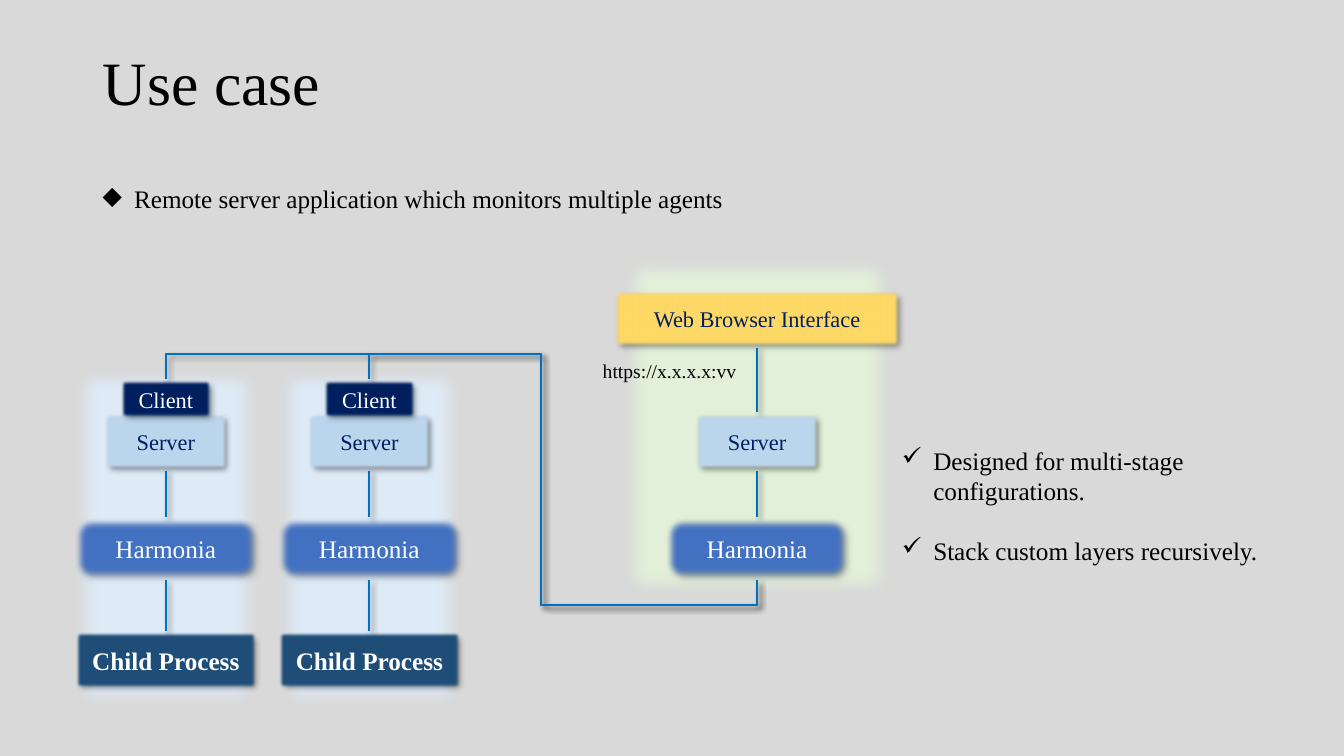
"""Build the use-case slide: two monitored agents linked to a remote server."""
from dataclasses import dataclass

from lxml.etree import SubElement
from pptx import Presentation
from pptx.dml.color import RGBColor
from pptx.enum.shapes import MSO_CONNECTOR, MSO_SHAPE
from pptx.enum.text import MSO_ANCHOR, MSO_AUTO_SIZE, PP_ALIGN
from pptx.oxml.ns import qn
from pptx.util import Cm, Pt

FONT = "Times New Roman"
BLACK, WHITE, NAVY, BLUE = "000000", "FFFFFF", "002060", "0070C0"
AGENT_CENTRES = (4.18, 9.31)
HOST_CENTRE = 19.08
TRUNK_X = 13.64
INDENT = 0.79
PANEL_EDGE = 12.5


@dataclass(frozen=True)
class Box:
    label: str
    top: float
    width: float
    height: float
    fill: str
    color: str
    size: int = 18
    bold: bool = False
    rounded: bool = False
    edge: float = 2.5

    @property
    def bottom(self) -> float:
        return self.top + self.height


@dataclass(frozen=True)
class Panel:
    centre: float
    top: float
    width: float
    fill: str
    height: float = 9.02


@dataclass(frozen=True)
class Note:
    left: float
    top: float
    width: float
    height: float
    lines: tuple[str, ...]
    size: int = 18
    bullet: str = ""


BROWSER = Box("Web Browser Interface", 7.29, 7.24, 1.47, "FFD966", NAVY, 16)
CLIENT = Box("Client", 9.55, 2.36, 1.02, NAVY, WHITE, 16)
SERVER = Box("Server", 10.39, 3.15, 1.47, "BDD7EE", NAVY, 16)
HARMONIA = Box("Harmonia", 13.03, 4.62, 1.58, "4472C4", WHITE, rounded=True, edge=5)
CHILD = Box("Child Process", 15.9, 4.62, 1.47, "1F4E79", WHITE, bold=True)

PANELS = (
    Panel(HOST_CENTRE, 6.25, 7.24, "E2F0D9"),
    *(Panel(x, 9.04, 5.11, "DEEBF7") for x in AGENT_CENTRES),
)
NOTES = (
    Note(2.34, 4.5, 28.17, 1.02,
         ("Remote server application which monitors multiple agents",), bullet="◆"),
    Note(22.48, 11.1, 9.75, 3.33,
         ("Designed for multi-stage configurations.", "Stack custom layers recursively."),
         bullet="✓"),
    Note(14.94, 8.92, 5.33, 0.86, ("https://x.x.x.x:vv",), 14),
)


def rgb(color: str) -> RGBColor:
    return RGBColor.from_string(color)


def set_effects(s, shadow: bool, edge: float = 0) -> None:
    effects = SubElement(s._element.spPr, qn("a:effectLst"))
    if shadow:
        outer = SubElement(effects, qn("a:outerShdw"), blurRad=str(Pt(4)),
                           dist=str(Pt(3)), dir="2700000", algn="tl", rotWithShape="0")
        color = SubElement(outer, qn("a:srgbClr"), val=BLACK)
        SubElement(color, qn("a:alpha"), val="40000")
    if edge:
        SubElement(effects, qn("a:softEdge"), rad=str(Pt(edge)))


def add_run(p, text: str, size: int, color: str = BLACK, bold: bool = False) -> None:
    r = p.add_run()
    r.text = text
    r.font.name = FONT
    r.font.size = Pt(size)
    r.font.bold = bold
    r.font.color.rgb = rgb(color)


def add_block(shapes, item: Box | Panel, centre: float, rounded: bool = False):
    kind = MSO_SHAPE.ROUNDED_RECTANGLE if rounded else MSO_SHAPE.RECTANGLE
    s = shapes.add_shape(kind, Cm(centre - item.width / 2), Cm(item.top),
                         Cm(item.width), Cm(item.height))
    s.fill.solid()
    s.fill.fore_color.rgb = rgb(item.fill)
    s.line.fill.background()
    return s


def add_panel(shapes, panel: Panel) -> None:
    set_effects(add_block(shapes, panel, panel.centre), False, PANEL_EDGE)


def add_box(shapes, box: Box, centre: float) -> None:
    s = add_block(shapes, box, centre, box.rounded)
    set_effects(s, True, box.edge)
    tf = s.text_frame
    tf.word_wrap = True
    tf.vertical_anchor = MSO_ANCHOR.MIDDLE
    p = tf.paragraphs[0]
    p.alignment = PP_ALIGN.CENTER
    add_run(p, box.label, box.size, box.color, box.bold)


def add_line(shapes, kind: MSO_CONNECTOR, x1: float, y1: float, x2: float, y2: float):
    s = shapes.add_connector(kind, Cm(x1), Cm(y1), Cm(x2), Cm(y2))
    s.line.color.rgb = rgb(BLUE)
    s.line.width = Pt(1.5)
    set_effects(s, True)
    return s


def add_link(shapes, centre: float, upper: Box, lower: Box) -> None:
    add_line(shapes, MSO_CONNECTOR.STRAIGHT, centre, upper.bottom, centre, lower.top)


def add_route(shapes, agent: float) -> None:
    """Route a five-segment elbow from the host's Harmonia up to an agent's client."""
    rise, run = HARMONIA.bottom - CLIENT.top, HOST_CENTRE - agent
    mid_x, mid_y = (HOST_CENTRE + agent) / 2, (HARMONIA.bottom + CLIENT.top) / 2
    s = add_line(shapes, MSO_CONNECTOR.ELBOW, mid_x + rise / 2, mid_y - run / 2,
                 mid_x - rise / 2, mid_y + run / 2)
    sp = s._element.spPr
    sp.find(qn("a:xfrm")).set("rot", "5400000")
    geometry = sp.find(qn("a:prstGeom"))
    geometry.set("prst", "bentConnector5")
    guides = geometry.find(qn("a:avLst"))
    if guides is None:
        guides = SubElement(geometry, qn("a:avLst"))
    for i, share in enumerate((-0.125, (HOST_CENTRE - TRUNK_X) / run, 1.125), 1):
        SubElement(guides, qn("a:gd"), name=f"adj{i}", fmla=f"val {round(share * 100000)}")


def add_note(shapes, note: Note) -> None:
    tf = shapes.add_textbox(Cm(note.left), Cm(note.top), Cm(note.width),
                            Cm(note.height)).text_frame
    tf.word_wrap = True
    for i, line in enumerate(note.lines):
        p = tf.add_paragraph() if i else tf.paragraphs[0]
        if note.bullet:
            props = p._p.get_or_add_pPr()
            props.set("marL", str(Cm(INDENT)))
            props.set("indent", str(-Cm(INDENT)))
            SubElement(props, qn("a:buChar"), char=note.bullet)
        if i:
            p.space_before = Pt(21)
        add_run(p, line, note.size)


def format_title(s) -> None:
    s.left, s.top, s.width, s.height = Cm(2.34), Cm(1.02), Cm(29.21), Cm(2.29)
    tf = s.text_frame
    tf.auto_size = MSO_AUTO_SIZE.NONE
    tf.vertical_anchor = MSO_ANCHOR.MIDDLE
    p = tf.paragraphs[0]
    p.alignment = PP_ALIGN.LEFT
    p.line_spacing = 0.9
    add_run(p, "Use case", 44)


def main() -> None:
    prs = Presentation()
    prs.slide_width, prs.slide_height = Cm(33.87), Cm(19.05)
    slide = prs.slides.add_slide(prs.slide_layouts[5])
    slide.background.fill.solid()
    slide.background.fill.fore_color.rgb = rgb("D9D9D9")
    shapes = slide.shapes
    format_title(shapes.title)
    for panel in PANELS:
        add_panel(shapes, panel)
    stacks = [(HOST_CENTRE, (BROWSER, SERVER, HARMONIA))]
    stacks += [(x, (SERVER, HARMONIA, CHILD)) for x in AGENT_CENTRES]
    for centre, stack in stacks:
        for box in stack:
            add_box(shapes, box, centre)
        for upper, lower in zip(stack, stack[1:]):
            add_link(shapes, centre, upper, lower)
    for centre in AGENT_CENTRES:
        add_box(shapes, CLIENT, centre)
        add_route(shapes, centre)
    for note in NOTES:
        add_note(shapes, note)
    prs.save("out.pptx")


if __name__ == "__main__":
    main()
